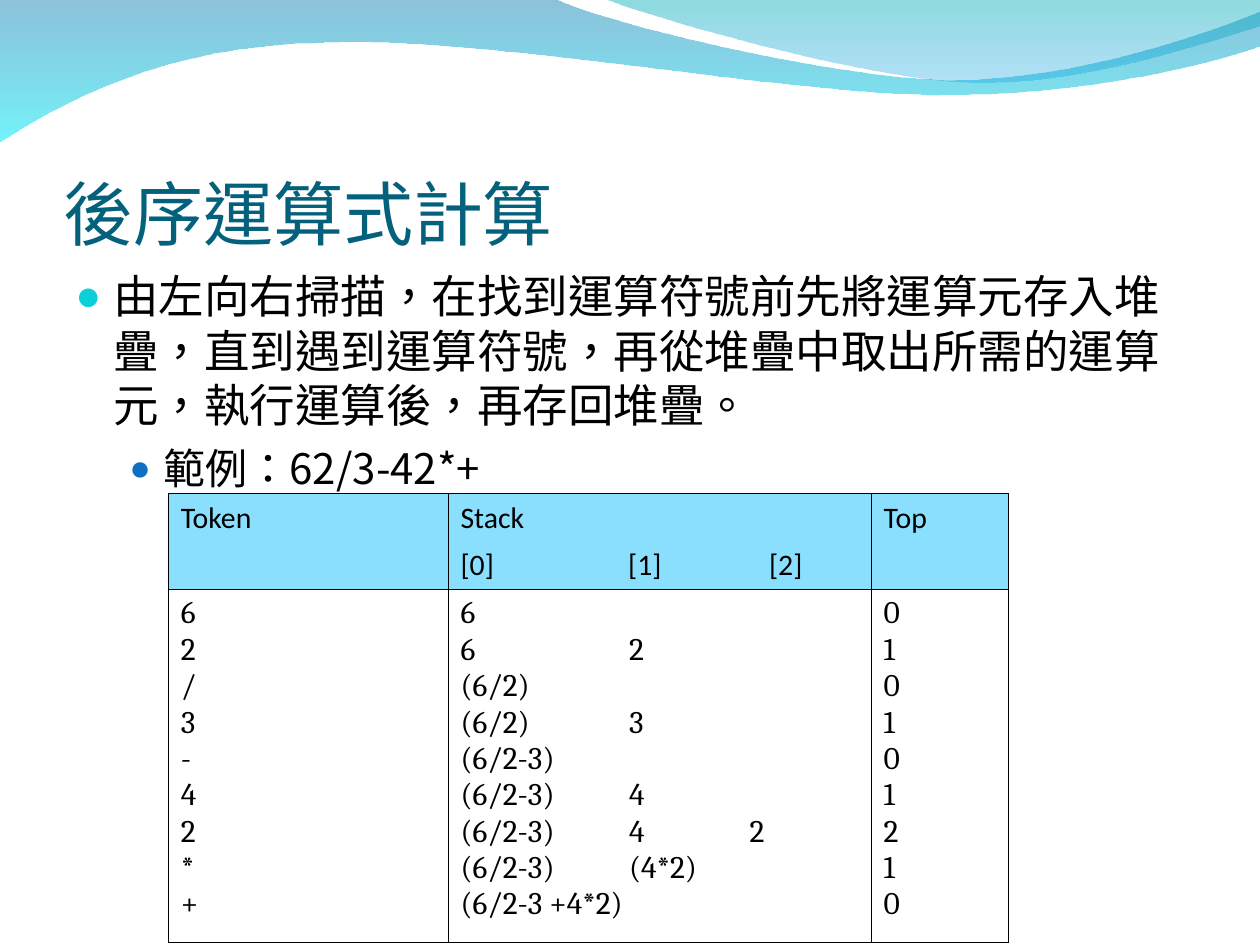
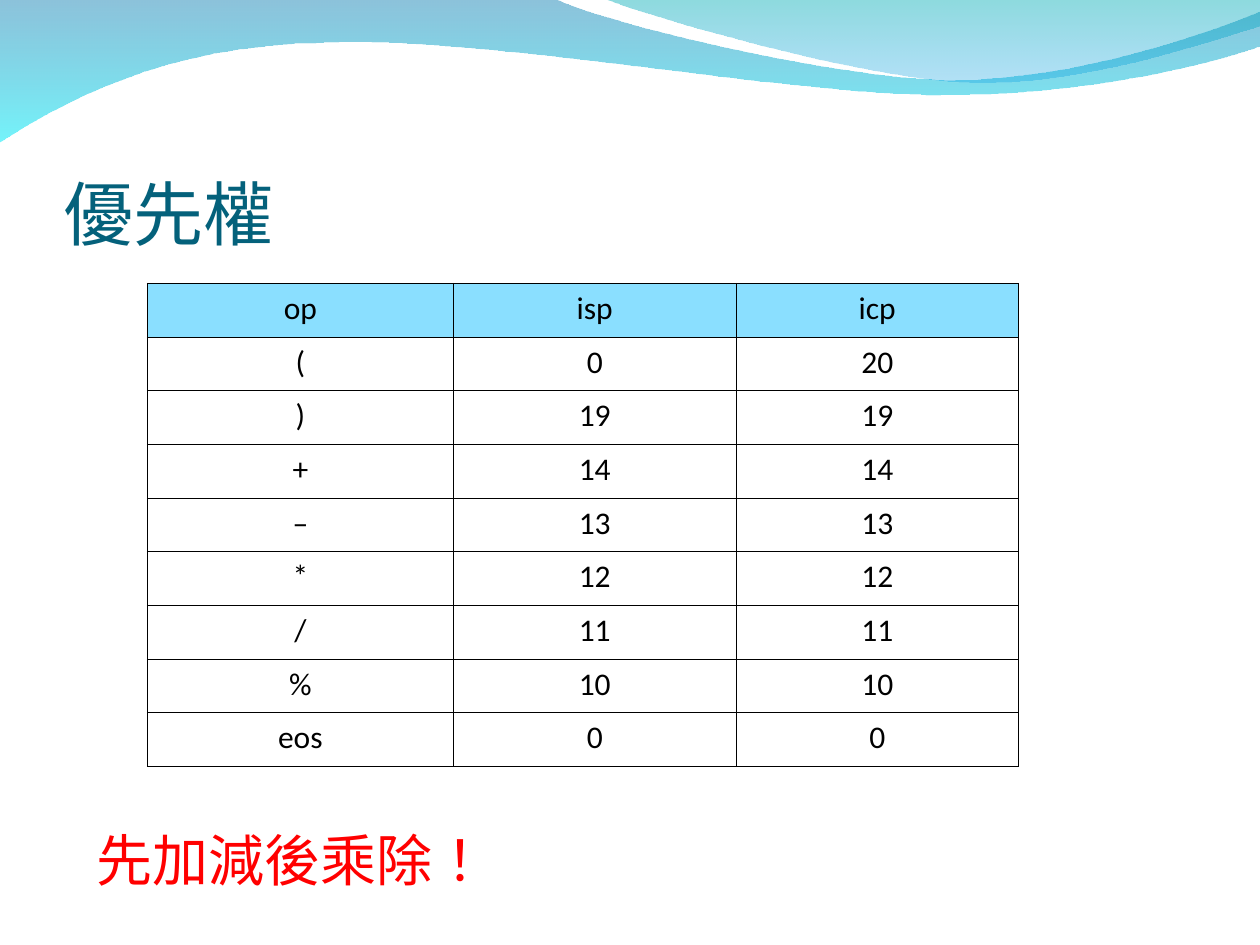
import lxml.etree
import pptx
import pptx.dml.color
import pptx.enum.lang
import pptx.enum.text
import pptx.oxml.ns
import pptx.util

Cm, Pt = pptx.util.Cm, pptx.util.Pt
RGB = pptx.dml.color.RGBColor
ALIGN = pptx.enum.text.PP_ALIGN
ANCHOR = pptx.enum.text.MSO_ANCHOR
LANGUAGE = pptx.enum.lang.MSO_LANGUAGE_ID
qn = pptx.oxml.ns.qn

BLACK = RGB(0x00, 0x00, 0x00)
RED = RGB(0xFF, 0x00, 0x00)
TITLE_TEAL = RGB(0x04, 0x61, 0x7B)
HEADER_BLUE = RGB(0x8A, 0xDF, 0xFF)
BULLET_CYAN = RGB(0x0B, 0xD0, 0xD9)
BULLET_BLUE = RGB(0x0F, 0x6F, 0xC6)
WAVE_BLUE = RGB(0x00, 0x79, 0xAF)
WAVE_AQUA = RGB(0x00, 0xEB, 0xF8)
CREST_TEAL = RGB(0x00, 0xAD, 0xB6)
CREST_BLUE = RGB(0x00, 0x9B, 0xE5)

CJK_FONT = "Noto Sans CJK SC"
TITLE_BOX = (1.28, 1.96, 22.86, 3.18)

# Each segment holds one end point, or two control points and an end point.
WAVE = [
    [(0, -0.03)],
    [(11.18, -0.03)],
    [(12.09, 0.43), (16.87, 1.6), (19.25, 1.6)],
    [(21.67, 1.6), (24.33, 0.66), (25.4, 0.23)],
    [(25.43, 0.91)],
    [(24.97, 1.12), (22.1, 1.93), (18.95, 1.91)],
    [(15.8, 1.91), (9.7, 0.71), (6.53, 0.86)],
    [(3.28, 0.89), (1.17, 2.11), (-0.03, 2.87)],
]
CREST = [
    [(12.17, -0.03)],
    [(12.93, 0.28), (17.32, 1.57), (19.53, 1.65)],
    [(21.74, 1.75), (24.41, 0.81), (25.4, 0.53)],
    [(25.4, 0)],
]

STACK_STEPS = [
    ("6", "6", "0"),
    ("2", "6\t2", "1"),
    ("/", "(6/2)", "0"),
    ("3", "(6/2)\t3", "1"),
    ("-", "(6/2-3)", "0"),
    ("4", "(6/2-3)\t4", "1"),
    ("2", "(6/2-3)\t4\t2", "2"),
    ("*", "(6/2-3)\t(4*2)", "1"),
    ("+", "(6/2-3 +4*2)", "0"),
]
PRIORITIES = [
    ("op", "isp", "icp"),
    ("(", "0", "20"),
    (")", "19", "19"),
    ("+", "14", "14"),
    ("–", "13", "13"),
    ("*", "12", "12"),
    ("/", "11", "11"),
    ("%", "10", "10"),
    ("eos", "0", "0"),
]


def add_xml(parent, tag, **attributes):
    child = lxml.etree.SubElement(parent, qn(tag))
    for name, value in attributes.items():
        child.set(name, str(value))
    return child


def write(frame, text, size, font=CJK_FONT, color=BLACK, align=ALIGN.LEFT,
          before=0, indent=None, bullet=None, bullet_percent=95, tabs=()):
    """Add a paragraph to the frame; the first one uses the empty paragraph."""
    para = frame.paragraphs[0]
    if para.runs:
        para = frame.add_paragraph()
    para.alignment = align
    para.space_before = Pt(before)
    span = para.add_run()
    span.text = text
    span.font.size = Pt(size)
    span.font.name = font
    span.font.color.rgb = color
    span.font.language_id = LANGUAGE.TRADITIONAL_CHINESE
    add_xml(span.font._element, "a:ea", typeface=CJK_FONT)

    properties = para._p.get_or_add_pPr()
    if bullet:
        left, hanging = indent
        properties.set("marL", str(Cm(left)))
        properties.set("indent", str(Cm(-hanging)))
        add_xml(add_xml(properties, "a:buClr"), "a:srgbClr", val=bullet)
        add_xml(properties, "a:buSzPct", val=bullet_percent * 1000)
        add_xml(properties, "a:buFont", typeface="Arial")
        add_xml(properties, "a:buChar", char="●")
    if tabs:
        stops = add_xml(properties, "a:tabLst")
        for stop in tabs:
            add_xml(stops, "a:tab", pos=Cm(stop), algn="l")


def add_text_box(page, box, anchor=ANCHOR.TOP, insets=(0.25, 0.13, 0.25, 0.13)):
    frame = page.shapes.add_textbox(*map(Cm, box)).text_frame
    frame.word_wrap = True
    frame.vertical_anchor = anchor
    (frame.margin_left, frame.margin_top,
     frame.margin_right, frame.margin_bottom) = map(Cm, insets)
    return frame


def add_title(page, text, font):
    frame = add_text_box(page, TITLE_BOX, ANCHOR.BOTTOM, (0, 0.13, 0, 0))
    write(frame, text, 40, font=font, color=TITLE_TEAL)


def bend_lines(shape, segments):
    """Turn each run of three lines that stands for a curve into that curve."""
    lines = iter(list(shape.element.iter(qn("a:lnTo"))))
    for segment in segments[1:]:
        group = [next(lines) for _ in segment]
        if len(group) == 3:
            curve = lxml.etree.Element(qn("a:cubicBezTo"))
            group[0].addprevious(curve)
            for line in group:
                curve.append(line[0])
                line.getparent().remove(line)


def add_wave(page, segments, stops):
    """Draw a closed outline with a top-down gradient of (colour, opacity) stops."""
    points = [(Cm(x), Cm(y)) for segment in segments for x, y in segment]
    builder = page.shapes.build_freeform(*points[0])
    builder.add_line_segments(points[1:], close=True)
    wave = builder.convert_to_shape()
    bend_lines(wave, segments)
    wave.shadow.inherit = False
    wave.line.fill.background()
    wave.fill.gradient()
    wave.fill.gradient_angle = 270
    for stop, (color, opacity) in zip(wave.fill.gradient_stops, stops):
        stop.color.rgb = color
    colors = wave.element.spPr.find(qn("a:gradFill")).iter(qn("a:srgbClr"))
    for element, (color, opacity) in zip(colors, stops):
        add_xml(element, "a:alpha", val=opacity * 1000)
    return wave


def decorate_layout(layout, page):
    """Build the header waves on the page and move them to its shared layout."""
    for placeholder in list(layout.placeholders):
        layout.shapes.element.remove(placeholder.element)
    for segments, stops in (
        (WAVE, ((WAVE_BLUE, 45), (WAVE_AQUA, 55))),
        (CREST, ((CREST_TEAL, 45), (CREST_BLUE, 30))),
    ):
        layout.shapes.element.append(add_wave(page, segments, stops).element)


def add_grid(page, left, top, widths, heights):
    """Add a table with thin black borders and a blue first row."""
    size = sum(widths), sum(heights)
    table = page.shapes.add_table(
        len(heights), len(widths), *map(Cm, (left, top, *size))).table
    table.first_row = table.horz_banding = False
    for column, width in zip(table.columns, widths):
        column.width = Cm(width)
    for number, (row, height) in enumerate(zip(table.rows, heights)):
        row.height = Cm(height)
        for cell in row.cells:
            properties = cell._tc.get_or_add_tcPr()
            for side in ("a:lnL", "a:lnR", "a:lnT", "a:lnB"):
                line = add_xml(properties, side, w=Pt(0.45))
                add_xml(add_xml(line, "a:solidFill"), "a:srgbClr", val=BLACK)
            if number == 0:
                cell.fill.solid()
                cell.fill.fore_color.rgb = HEADER_BLUE
            else:
                cell.fill.background()
    return table


def add_stack_table(page, left, top):
    table = add_grid(page, left, top, (5.64, 8.53, 2.77), (1.93, 7.11))
    for column, heading in enumerate(("Token", "Stack", "Top")):
        write(table.cell(0, column).text_frame, heading, 17, font="Calibri", before=6)
        for step in STACK_STEPS:
            write(table.cell(1, column).text_frame, step[column], 18,
                  font="Cambria", tabs=(3.4, 5.83))
    write(table.cell(0, 1).text_frame, "[0]\t[1]\t[2]", 17,
          font="Calibri", before=6, tabs=(3.38, 6.22))


def add_priority_table(page, left, top):
    count = len(PRIORITIES)
    table = add_grid(page, left, top, (6.17, 5.7, 5.69), [9.74 / count] * count)
    for row, values in enumerate(PRIORITIES):
        for column, value in enumerate(values):
            write(table.cell(row, column).text_frame, value, 18,
                  font="Calibri", align=ALIGN.CENTER, before=6)


def build_postfix_page(page):
    add_title(page, "後序運算式計算", CJK_FONT)
    frame = add_text_box(page, (1.27, 5.28, 22.86, 12.19))
    write(frame, "由左向右掃描，在找到運算符號前先將運算元存入堆疊，直到遇到運算符號，"
                 "再從堆疊中取出所需的運算元，執行運算後，再存回堆疊。",
          26, before=6.5, indent=(0.76, 0.76), bullet=BULLET_CYAN)
    write(frame, "範例：62/3-42*+", 24, before=6, indent=(1.78, 0.69),
          bullet=BULLET_BLUE, bullet_percent=85)
    add_stack_table(page, 3.39, 9.95)


def build_priority_page(page):
    add_title(page, "優先權", "Calibri")
    add_priority_table(page, 2.97, 5.71)
    frame = add_text_box(page, (1.7, 16.51, 21.16, 1.63))
    write(frame, "先加減後乘除！", 32, font="Arial", color=RED, before=11.2)


def main():
    deck = pptx.Presentation()
    deck.slide_width, deck.slide_height = Cm(25.4), Cm(19.05)
    blank = deck.slide_layouts[6]
    postfix_page, priority_page = (deck.slides.add_slide(blank) for _ in range(2))
    decorate_layout(blank, postfix_page)
    build_postfix_page(postfix_page)
    build_priority_page(priority_page)
    deck.save("out.pptx")


if __name__ == "__main__":
    main()
